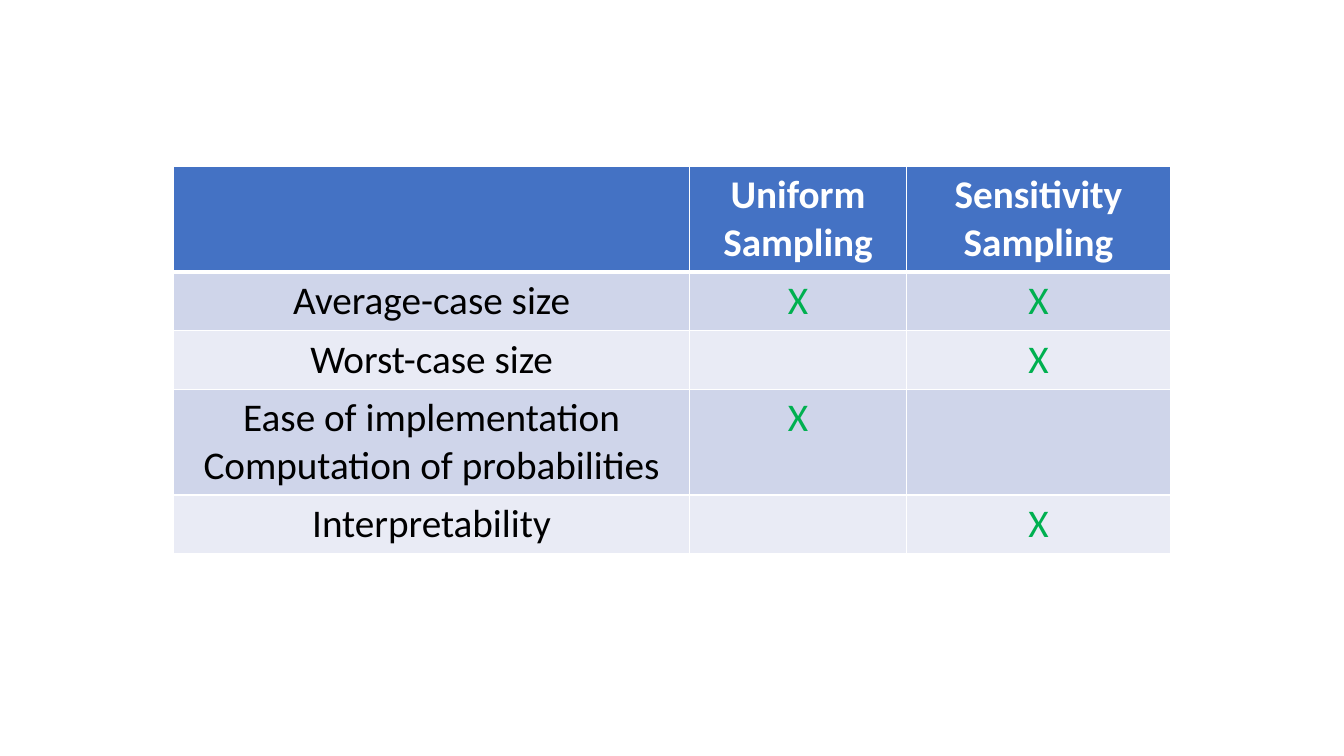
from lxml.etree import SubElement
from pptx import Presentation
from pptx.dml.color import RGBColor
from pptx.enum.text import PP_ALIGN as Align
from pptx.oxml.ns import qn
from pptx.util import Inches, Pt

WHITE = RGBColor(0xFF, 0xFF, 0xFF)
BLACK = RGBColor(0x00, 0x00, 0x00)
GREEN = RGBColor(0x00, 0xB0, 0x50)
BLUE = RGBColor(0x44, 0x72, 0xC4)
BANDS = (RGBColor(0xE9, 0xEB, 0xF5), RGBColor(0xCF, 0xD5, 0xEA))

COL_WIDTHS = (5.12, 2.15, 2.62)
ONE_LINE, TWO_LINES = 0.58, 1.05
ROW_HEIGHTS = (TWO_LINES, ONE_LINE, ONE_LINE, TWO_LINES, ONE_LINE)
COMPARISON = (
    ("", "Uniform Sampling", "Sensitivity Sampling"),
    ("Average-case size", "X", "X"),
    ("Worst-case size", "", "X"),
    ("Ease of implementation\nComputation of probabilities", "X", ""),
    ("Interpretability", "", "X"),
)


class SlideBuilder:
    """Holds the text style and the current slide."""

    def __init__(self, prs, font="Calibri", size=28):
        """Add a blank slide to the presentation."""
        self.s = prs.slides.add_slide(prs.slide_layouts[6])
        self.font, self.size = font, Pt(size)

    def borders(self, cell, **widths):
        """Draw white borders with the given widths in points."""
        tcPr = cell._tc.get_or_add_tcPr()
        for side, width in widths.items():
            ln = SubElement(tcPr, qn(f"a:ln{side}"), w=str(Pt(width)))
            fill = SubElement(ln, qn("a:solidFill"))
            SubElement(fill, qn("a:srgbClr"), val=str(WHITE))

    def cell(self, cell, text, fill, color, bold):
        """Fill a cell and write its centred text."""
        cell.fill.solid()
        cell.fill.fore_color.rgb = fill
        cell.text_frame.text = text
        for p in cell.text_frame.paragraphs:
            p.alignment = Align.CENTER
            p.font.size = self.size
            for r in p.runs:
                r.font.name, r.font.size = self.font, self.size
                r.font.bold, r.font.color.rgb = bold, color

    def table(self, left, top, rows, col_widths, row_heights):
        """Add a banded table with a header row and green marks."""
        table = self.s.shapes.add_table(
            len(rows), len(col_widths), Inches(left), Inches(top),
            Inches(sum(col_widths)), Inches(sum(row_heights))).table
        for column, width in zip(table.columns, col_widths):
            column.width = Inches(width)
        for i, (row, height) in enumerate(zip(rows, row_heights)):
            table.rows[i].height = Inches(height)
            header = i == 0
            for j, text in enumerate(row):
                cell = table.cell(i, j)
                self.borders(cell, L=1, R=1, T=3 if i == 1 else 1,
                             B=3 if header else 1)
                color = WHITE if header else GREEN if j else BLACK
                self.cell(cell, text, BLUE if header else BANDS[i % 2],
                          color, header)


def main():
    """Build the sampling comparison slide."""
    prs = Presentation()
    prs.slide_width, prs.slide_height = Inches(13.33), Inches(7.5)
    SlideBuilder(prs).table(1.72, 1.65, COMPARISON, COL_WIDTHS, ROW_HEIGHTS)
    prs.save("out.pptx")


main()
